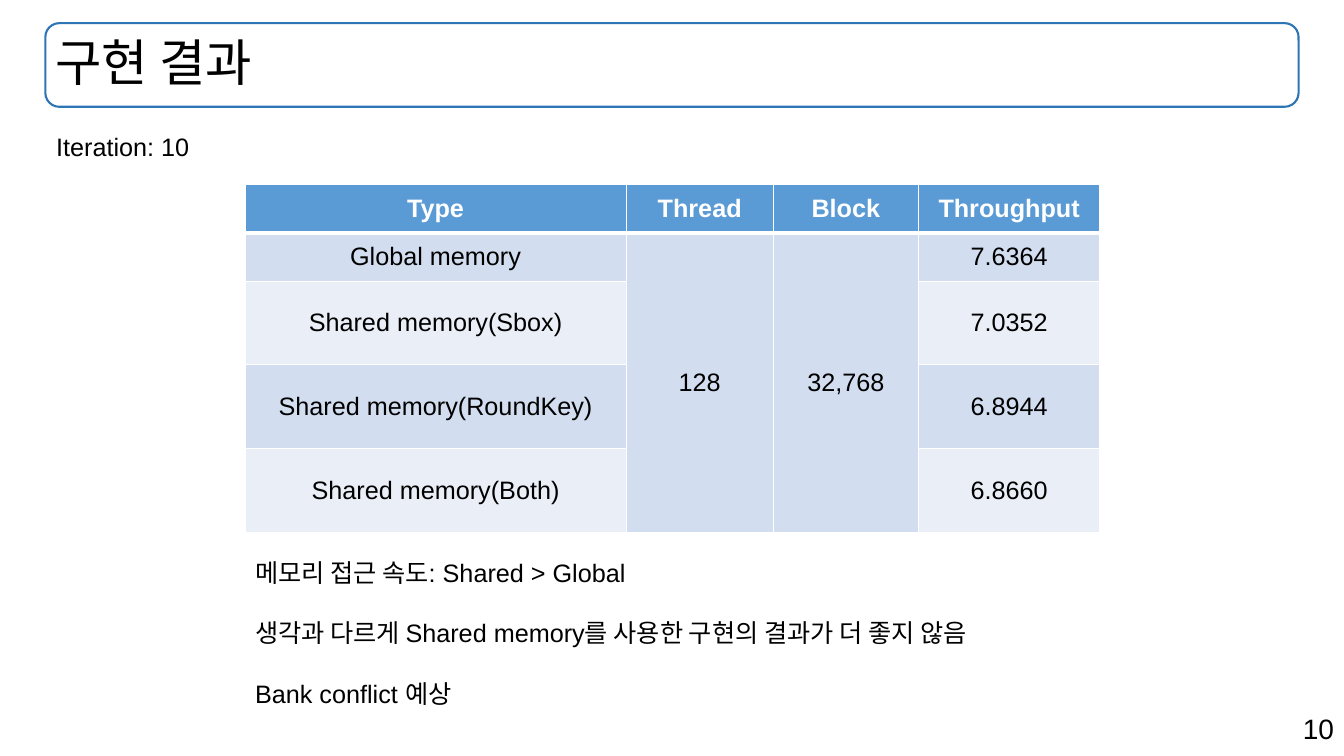
from lxml import etree
from pptx import Presentation
from pptx.dml.color import RGBColor
from pptx.enum.shapes import MSO_SHAPE
from pptx.enum.text import MSO_ANCHOR, MSO_AUTO_SIZE, PP_ALIGN
from pptx.oxml.ns import qn
from pptx.util import Inches, Pt

ROUND_RECT = MSO_SHAPE.ROUNDED_RECTANGLE
TOP, MIDDLE = MSO_ANCHOR.TOP, MSO_ANCHOR.MIDDLE
LEFT, CENTER, RIGHT = PP_ALIGN.LEFT, PP_ALIGN.CENTER, PP_ALIGN.RIGHT
NO_FIT = MSO_AUTO_SIZE.NONE

COLORS = {"text": "000000", "white": "FFFFFF", "frame": "2E75B6",
          "header": "5B9BD5", "odd": "D2DEEF", "even": "EAEFF7"}

HEADERS = ["Type", "Thread", "Block", "Throughput"]
RESULTS = [("Global memory", "7.6364"), ("Shared memory(Sbox)", "7.0352"),
           ("Shared memory(RoundKey)", "6.8944"), ("Shared memory(Both)", "6.8660")]
THREADS, BLOCKS = "128", "32,768"
COL_WIDTHS = [3.78, 1.46, 1.44, 1.8]
ROW_HEIGHTS = [0.48, 0.48, 0.83, 0.83, 0.83]
NOTES = ["메모리 접근 속도: Shared > Global",
         "생각과 다르게 Shared memory를 사용한 구현의 결과가 더 좋지 않음",
         "Bank conflict 예상"]


def rgb(name):
    """Return the named colour."""
    return RGBColor.from_string(COLORS[name])


def place(sp, box):
    """Move a shape to a box given in inches."""
    for attr, value in zip(("left", "top", "width", "height"), box):
        setattr(sp, attr, Inches(value))


def write(p, text, size=18, color="text", bold=False, align=LEFT):
    """Write one formatted run into a paragraph."""
    p.alignment = align
    r = p.add_run()
    r.text = text
    for attr, value in {"name": "Arial", "size": Pt(size), "bold": bold}.items():
        setattr(r.font, attr, value)
    r.font.color.rgb = rgb(color)


def set_frame(tf, anchor):
    """Set wrapping, fitting and anchoring of a text frame."""
    for attr, value in {"word_wrap": True, "auto_size": NO_FIT,
                        "vertical_anchor": anchor}.items():
        setattr(tf, attr, value)


def add_title(s, box, text):
    """Add the rounded frame and the title within it."""
    sp = s.shapes.add_shape(ROUND_RECT, *map(Inches, box))
    sp.shadow.inherit = False
    sp.fill.background()
    sp.line.color.rgb = rgb("frame")
    sp.line.width = Pt(1.5)
    title = s.shapes.title
    place(title, box)
    set_frame(title.text_frame, MIDDLE)
    p = title.text_frame.paragraphs[0]
    p.line_spacing = 0.9
    write(p, text, size=36)


def add_label(s, box, text, **fmt):
    """Add a single-line text box."""
    tf = s.shapes.add_textbox(*map(Inches, box)).text_frame
    set_frame(tf, TOP)
    write(tf.paragraphs[0], text, **fmt)


def set_borders(cell, top, bottom):
    """Draw white cell borders, with top and bottom widths in points."""
    tc_pr = cell._tc.get_or_add_tcPr()
    widths = {"a:lnL": 1, "a:lnR": 1, "a:lnT": top, "a:lnB": bottom}
    for i, (tag, width) in enumerate(widths.items()):
        ln = etree.Element(qn(tag), w=str(Pt(width)))
        fill = etree.SubElement(ln, qn("a:solidFill"))
        etree.SubElement(fill, qn("a:srgbClr"), val=COLORS["white"])
        tc_pr.insert(i, ln)


def add_results(s, box):
    """Add the throughput table with merged thread and block cells."""
    rows = [HEADERS] + [(kind, "", "", rate) for kind, rate in RESULTS]
    rows[1] = (RESULTS[0][0], THREADS, BLOCKS, RESULTS[0][1])
    tbl = s.shapes.add_table(len(rows), len(HEADERS), *map(Inches, box)).table
    for col, width in zip(tbl.columns, COL_WIDTHS):
        col.width = Inches(width)
    for i, (row, height) in enumerate(zip(tbl.rows, ROW_HEIGHTS)):
        row.height = Inches(height)
        header = i == 0
        for j, text in enumerate(rows[i]):
            cell = tbl.cell(i, j)
            cell.vertical_anchor = MIDDLE
            cell.fill.solid()
            band = "odd" if i % 2 or j in (1, 2) else "even"
            cell.fill.fore_color.rgb = rgb("header" if header else band)
            set_borders(cell, 3 if i == 1 else 1, 3 if header else 1)
            if text:
                write(cell.text_frame.paragraphs[0], text, bold=header,
                      color="white" if header else "text", align=CENTER)
    for j in (1, 2):
        tbl.cell(1, j).merge(tbl.cell(len(RESULTS), j))


def add_notes(s, box):
    """Fill the body placeholder with the unbulleted remarks."""
    body = s.placeholders[1]
    place(body, box)
    tf = body.text_frame
    set_frame(tf, TOP)
    for i, text in enumerate(NOTES):
        p = tf.add_paragraph() if i else tf.paragraphs[0]
        p_pr = p._p.get_or_add_pPr()
        p_pr.set("marL", "0")
        p_pr.set("indent", "0")
        etree.SubElement(p_pr, qn("a:buNone"))
        p.space_before = Pt(21.5 if i else 0)
        write(p, text)


def add_result_slide(prs):
    """Build the implementation result slide."""
    s = prs.slides.add_slide(prs.slide_layouts[1])
    add_label(s, (9.43, 7.01, 3.9, 0.44), "10", size=20, align=RIGHT)
    add_title(s, (0.45, 0.23, 12.43, 0.83), "구현 결과")
    add_results(s, (2.43, 1.83, sum(COL_WIDTHS), sum(ROW_HEIGHTS)))
    add_label(s, (0.46, 1.25, 3.17, 0.4), "Iteration: 10")
    add_notes(s, (2.43, 5.48, 8.38, 1.62))


def main():
    """Create and save the presentation."""
    prs = Presentation()
    prs.slide_width, prs.slide_height = Inches(13.33), Inches(7.5)
    add_result_slide(prs)
    prs.save("out.pptx")


if __name__ == "__main__":
    main()
